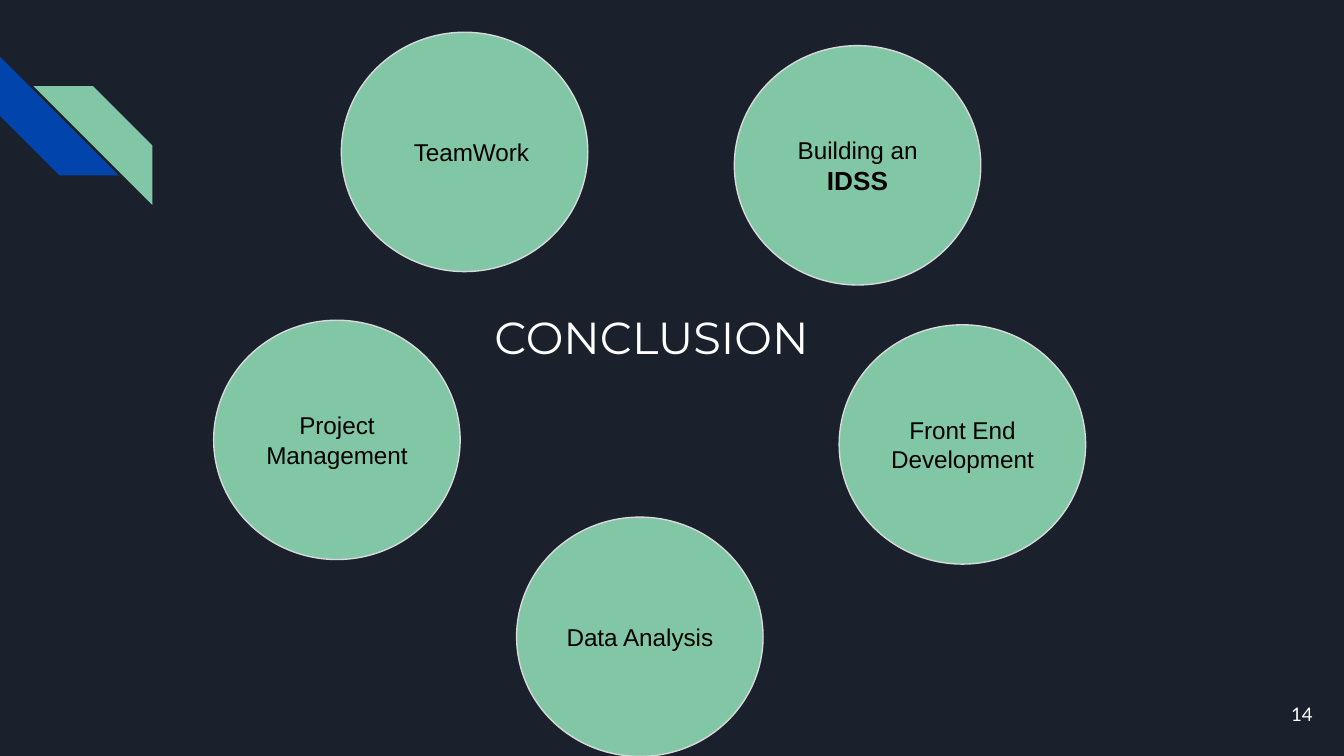
"""Build the conclusion slide: five topic circles around a title."""
from dataclasses import dataclass

from pptx import Presentation
from pptx.dml.color import RGBColor
from pptx.enum.shapes import MSO_SHAPE
from pptx.enum.text import MSO_ANCHOR, PP_ALIGN
from pptx.shapes.autoshape import Shape
from pptx.slide import Slide
from pptx.util import Inches, Pt

COLORS = {
    "background": "1B212C",
    "blue": "0145AC",
    "green": "82C7A5",
    "outline": "D9D9D9",
    "light": "FFFFFF",
    "dark": "000000",
}
SLIDE_WIDTH = Inches(10)
SLIDE_HEIGHT = SLIDE_WIDTH * 9 // 16
COLUMN, ROW = SLIDE_WIDTH / 100, SLIDE_HEIGHT / 100
INSET = Inches(0.1)


@dataclass(frozen=True)
class Area:
    column: float
    row: float
    columns: float
    rows: float

    def bounds(self) -> tuple[int, int, int, int]:
        return (
            round(self.column * COLUMN),
            round(self.row * ROW),
            round(self.columns * COLUMN),
            round(self.rows * ROW),
        )


@dataclass(frozen=True)
class Stripe:
    column: float
    row: float
    rotation: int
    color: str


@dataclass(frozen=True)
class Topic:
    column: float
    row: float
    label: str
    emphasis: str = ""
    indent: float = 0


@dataclass(frozen=True)
class Label:
    area: Area
    text: str
    font: str
    size: int
    align: PP_ALIGN
    anchor: MSO_ANCHOR


STRIPES = (
    Stripe(0, 7.47, 270, "blue"),
    Stripe(2.5, 11.4, 90, "green"),
)
TOPICS = (
    Topic(25.4, 4.27, "TeamWork", indent=0.1),
    Topic(15.9, 42.36, "Project Management"),
    Topic(38.44, 68.4, "Data Analysis"),
    Topic(62.44, 42.96, "Front End Development"),
    Topic(54.64, 6.04, "Building an ", emphasis="IDSS"),
)
LABELS = (
    Label(Area(35.8, 39.2, 28.4, 10.84), "CONCLUSION", "Montserrat", 24,
          PP_ALIGN.LEFT, MSO_ANCHOR.TOP),
    Label(Area(92.65, 90.67, 6, 7.64), "14", "Lato", 10,
          PP_ALIGN.RIGHT, MSO_ANCHOR.MIDDLE),
)


def color(name: str) -> RGBColor:
    return RGBColor.from_string(COLORS[name])


def add_filled(page: Slide, kind: MSO_SHAPE, area: Area, fill: str) -> Shape:
    shape = page.shapes.add_shape(kind, *area.bounds())
    shape.shadow.inherit = False
    shape.fill.solid()
    shape.fill.fore_color.rgb = color(fill)
    return shape


def write_text(box: Shape, text: str, font: str, size: int, ink: str,
               align: PP_ALIGN, anchor: MSO_ANCHOR) -> None:
    frame = box.text_frame
    frame.word_wrap = True
    frame.vertical_anchor = anchor
    frame.margin_left = frame.margin_right = INSET
    frame.margin_top = frame.margin_bottom = INSET
    para = frame.paragraphs[0]
    para.alignment = align
    para.add_run().text = text
    para.font.name = font
    para.font.size = Pt(size)
    para.font.color.rgb = color(ink)


def draw_stripe(page: Slide, stripe: Stripe) -> None:
    area = Area(stripe.column, stripe.row, 8.84, 15.72)
    shape = add_filled(page, MSO_SHAPE.DIAGONAL_STRIPE, area, stripe.color)
    shape.adjustments[0] = 0.5
    shape.rotation = stripe.rotation
    shape.line.fill.background()


def draw_label(page: Slide, label: Label) -> None:
    box = page.shapes.add_textbox(*label.area.bounds())
    write_text(box, label.text, label.font, label.size, "light",
               label.align, label.anchor)


def draw_topic(page: Slide, topic: Topic) -> None:
    area = Area(topic.column, topic.row, 18.34, 31.66)
    circle = add_filled(page, MSO_SHAPE.OVAL, area, "green")
    circle.line.color.rgb = color("outline")
    circle.line.width = Pt(0.75)
    write_text(circle, topic.label, "Arial", 13, "dark",
               PP_ALIGN.CENTER, MSO_ANCHOR.MIDDLE)
    circle.text_frame.margin_left = INSET + Inches(topic.indent)
    if topic.emphasis:
        span = circle.text_frame.paragraphs[0].add_run()
        span.text = topic.emphasis
        span.font.size = Pt(14)
        span.font.bold = True


def main() -> None:
    deck = Presentation()
    deck.slide_width, deck.slide_height = SLIDE_WIDTH, SLIDE_HEIGHT
    page = deck.slides.add_slide(deck.slide_layouts[6])
    page.background.fill.solid()
    page.background.fill.fore_color.rgb = color("background")
    for stripe in STRIPES:
        draw_stripe(page, stripe)
    for label in LABELS:
        draw_label(page, label)
    for topic in TOPICS:
        draw_topic(page, topic)
    deck.save("out.pptx")


if __name__ == "__main__":
    main()
